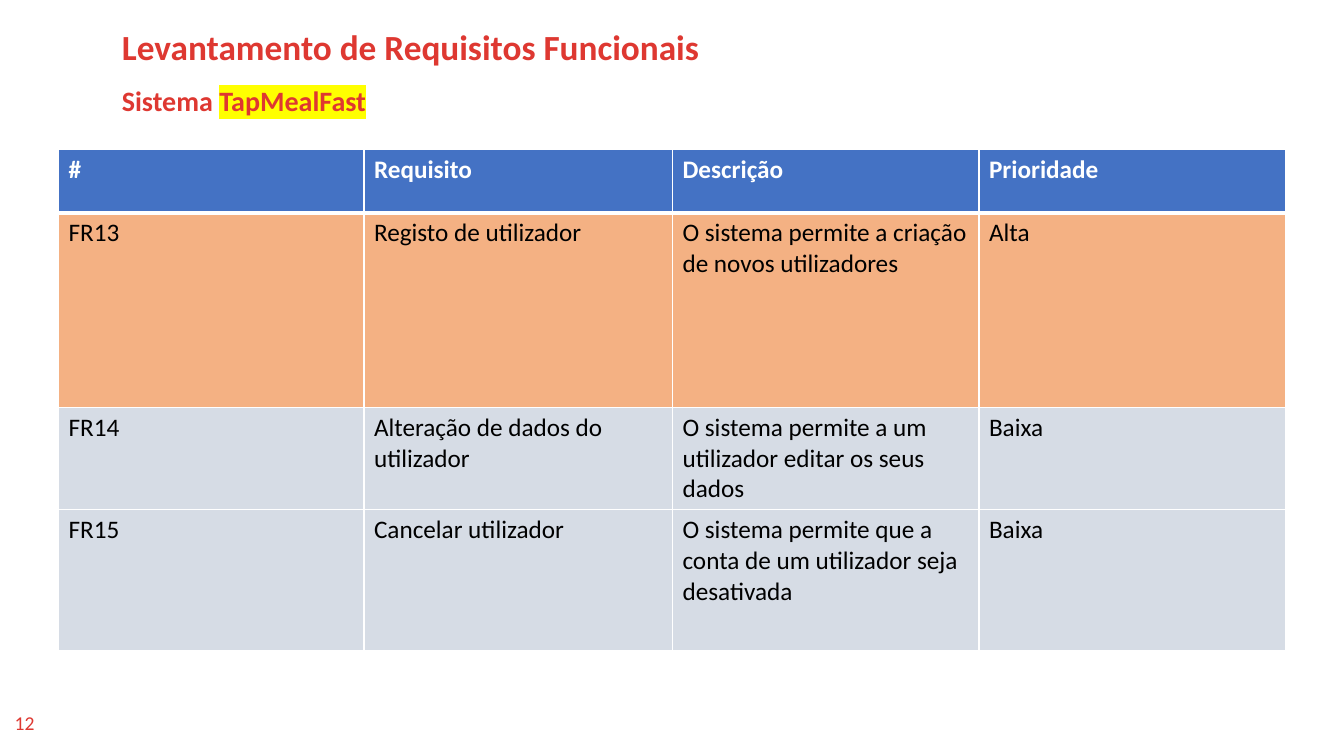
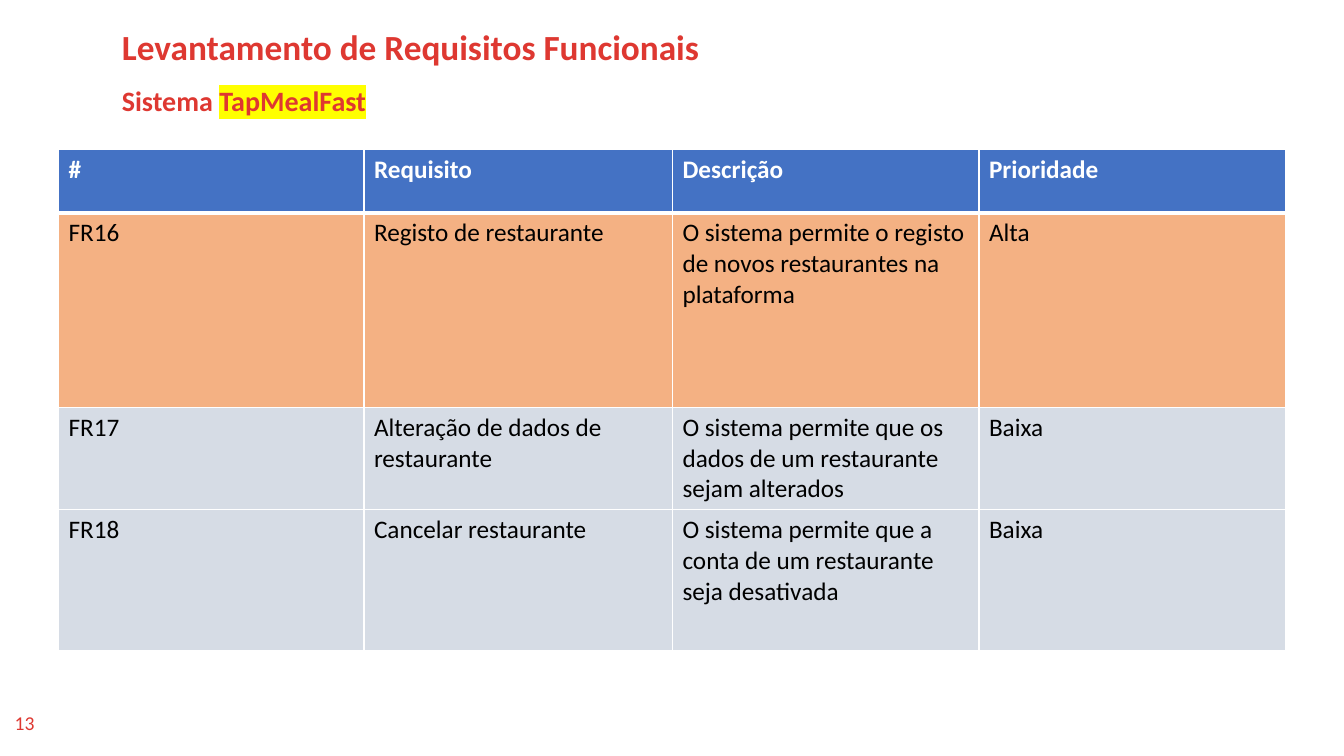
"""Build the requirement slides of the food ordering system."""
from dataclasses import dataclass

from lxml.etree import SubElement
from pptx import Presentation
from pptx.dml.color import RGBColor
from pptx.enum.text import MSO_ANCHOR, MSO_AUTO_SIZE, PP_ALIGN
from pptx.oxml.ns import qn
from pptx.util import Inches, Pt


@dataclass(frozen=True)
class Theme:
    """Colours, font and type sizes shared by the slides."""
    font: str = "Calibri"
    red: str = "DE3831"
    blue: str = "4472C4"
    high: str = "F4B183"
    low: str = "D6DCE5"
    white: str = "FFFFFF"
    black: str = "000000"
    mark: str = "FFFF00"
    title: float = 25.2
    sub: float = 20
    body: float = 18
    page: float = 14


THEME = Theme()
FIRST = 12
TITLE = "Levantamento de Requisitos Funcionais"
SYSTEM = "TapMealFast"
HEADS = ("#", "Requisito", "Descrição", "Prioridade")
COLS = (3.03, 3.06, 3.04, 3.04)
ROWS = (0.63, 1.93, 0.88, 1.4)
FILLS = {"Alta": THEME.high, "Baixa": THEME.low}
SLIDES = (
    (
        ("FR13", "Registo de utilizador",
         "O sistema permite a criação de novos utilizadores", "Alta"),
        ("FR14", "Alteração de dados do utilizador",
         "O sistema permite a um utilizador editar os seus dados", "Baixa"),
        ("FR15", "Cancelar utilizador",
         "O sistema permite que a conta de um utilizador seja desativada", "Baixa"),
    ),
    (
        ("FR16", "Registo de restaurante",
         "O sistema permite o registo de novos restaurantes na plataforma", "Alta"),
        ("FR17", "Alteração de dados de restaurante",
         "O sistema permite que os dados de um restaurante sejam alterados", "Baixa"),
        ("FR18", "Cancelar restaurante",
         "O sistema permite que a conta de um restaurante seja desativada", "Baixa"),
    ),
)


def style(para, size, color, bold=False):
    """Set the font of a paragraph."""
    font = para.font
    font.name, font.size, font.bold = THEME.font, Pt(size), bold
    font.color.rgb = RGBColor.from_string(color)


def paint(parent, color):
    """Append a solid fill to an XML element."""
    fill = SubElement(parent, qn("a:solidFill"))
    SubElement(fill, qn("a:srgbClr"), val=color)


def frame(shape, anchor=MSO_ANCHOR.TOP):
    """Prepare a text frame and return its first paragraph."""
    text = shape.text_frame
    text.word_wrap = True
    text.auto_size = MSO_AUTO_SIZE.NONE
    text.vertical_anchor = anchor
    return text.paragraphs[0]


def add_box(slide, left, top, width, height, anchor=MSO_ANCHOR.TOP):
    """Add a text box and return its first paragraph."""
    box = slide.shapes.add_textbox(*map(Inches, (left, top, width, height)))
    return frame(box, anchor)


def add_head(slide, left, top, width):
    """Place the title and the marked system name below it."""
    shape = slide.shapes.title
    shape.left, shape.top = Inches(left), Inches(top)
    shape.width, shape.height = Inches(width), Inches(0.45)
    para = frame(shape)
    para.text = TITLE
    sub = add_box(slide, left, top + 0.57, width, 0.42)
    sub.add_run().text = "Sistema "
    run = sub.add_run()
    run.text = SYSTEM
    mark = SubElement(run.font._element, qn("a:highlight"))
    SubElement(mark, qn("a:srgbClr"), val=THEME.mark)
    for line, size in ((para, THEME.title), (sub, THEME.sub)):
        line.alignment = PP_ALIGN.LEFT
        line.line_spacing = 0.9
        style(line, size, THEME.red, True)


def fill_cell(cell, text, fill, color, head):
    """Write one cell with its borders, fill and font."""
    props = cell._tc.get_or_add_tcPr()
    for side in "LRTB":
        width = 3 if head and side == "B" else 1
        line = SubElement(props, qn(f"a:ln{side}"), w=str(Pt(width)))
        paint(line, THEME.white)
    cell.fill.solid()
    cell.fill.fore_color.rgb = RGBColor.from_string(fill)
    cell.text = text
    style(cell.text_frame.paragraphs[0], THEME.body, color, head)


def add_grid(slide, left, top, items):
    """Place the table of requirements, coloured by priority."""
    size = (left, top, sum(COLS), sum(ROWS))
    table = slide.shapes.add_table(len(ROWS), len(COLS), *map(Inches, size)).table
    table.horz_banding = False
    for col, width in zip(table.columns, COLS):
        col.width = Inches(width)
    for index, (row, height, texts) in enumerate(zip(table.rows, ROWS, (HEADS, *items))):
        row.height = Inches(height)
        head = index == 0
        fill = THEME.blue if head else FILLS[texts[-1]]
        color = THEME.white if head else THEME.black
        for cell, text in zip(row.cells, texts):
            fill_cell(cell, text, fill, color, head)


def add_page(slide, left, top, number):
    """Place the page number."""
    para = add_box(slide, left, top, 0.47, 0.4, MSO_ANCHOR.MIDDLE)
    para.text = str(number)
    para.alignment = PP_ALIGN.CENTER
    style(para, THEME.page, THEME.red)


def add_slide(deck, number, items):
    """Build one slide of requirements."""
    slide = deck.slides.add_slide(deck.slide_layouts.get_by_name("Title Only"))
    add_head(slide, 1.11, 0.25, 10.41)
    add_page(slide, 0.01, 6.97, number)
    add_grid(slide, 0.58, 1.48, items)


def main():
    """Build and save the deck."""
    deck = Presentation()
    deck.slide_width, deck.slide_height = Inches(13.33), Inches(7.5)
    for number, items in enumerate(SLIDES, FIRST):
        add_slide(deck, number, items)
    deck.save("out.pptx")


if __name__ == "__main__":
    main()
